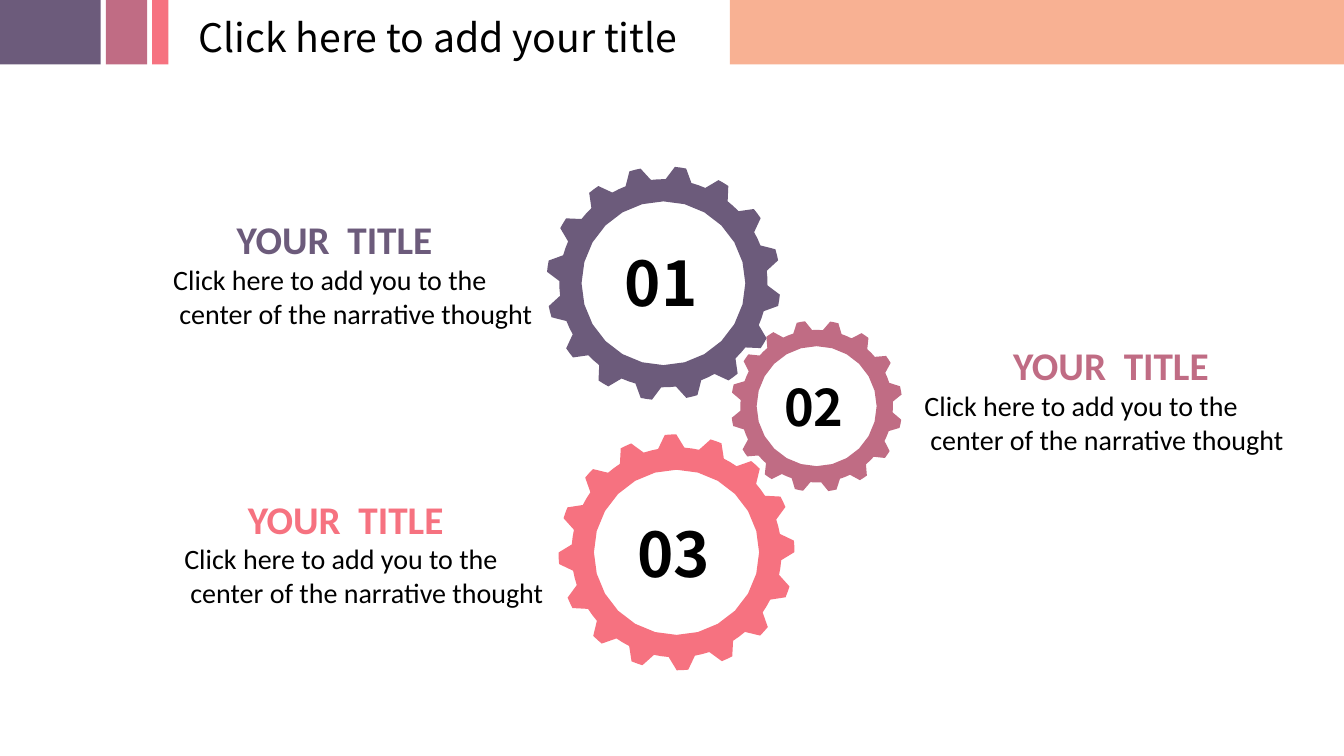
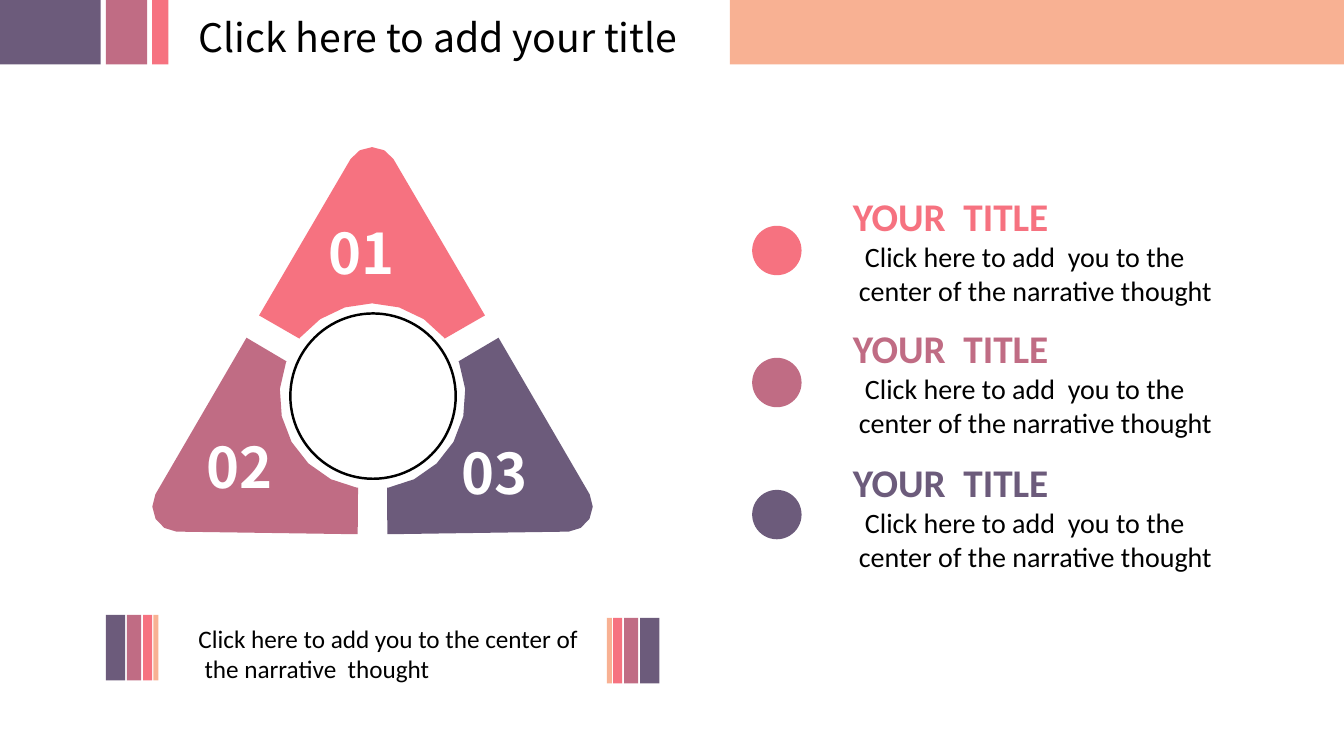
from math import atan2, cos, degrees, hypot, radians, sin

from pptx import Presentation
from pptx.dml.color import RGBColor
from pptx.enum.shapes import MSO_SHAPE as Shape
from pptx.util import Inches, Pt

PURPLE = RGBColor(0x6C, 0x5B, 0x7B)
MAUVE = RGBColor(0xC0, 0x6C, 0x84)
CORAL = RGBColor(0xF6, 0x72, 0x80)
PEACH = RGBColor(0xF8, 0xB1, 0x93)
BLACK = RGBColor(0, 0, 0)
WHITE = RGBColor(0xFF, 0xFF, 0xFF)
HEADING_FONT, BODY_FONT = "Noto Sans CJK SC", "Calibri"


def polar(center_x, center_y, radius, angle):
    return (center_x + radius * cos(radians(angle)),
            center_y + radius * sin(radians(angle)))


def write(slide, left, top, width, height, lines):
    """Each line is (text, size, font name, colour, bold, indent)."""
    frame = slide.shapes.add_textbox(
        Inches(left), Inches(top), Inches(width), Inches(height)).text_frame
    frame.word_wrap = True
    for number, (text, size, name, colour, bold, indent) in enumerate(lines):
        paragraph = frame.add_paragraph() if number else frame.paragraphs[0]
        if indent:
            paragraph._p.get_or_add_pPr().set("marL", str(Inches(indent)))
        run = paragraph.add_run()
        run.text = text
        for key, value in {"size": Pt(size), "name": name, "bold": bold}.items():
            setattr(run.font, key, value)
        run.font.color.rgb = colour


deck = Presentation()
deck.slide_width, deck.slide_height = Inches(13.33), Inches(7.5)
gear_slide, triangle_slide = [
    deck.slides.add_slide(deck.slide_layouts[6]) for _ in range(2)]
painted = []  # (shape, fill colour), filled in one pass at the end

# Header band and title on both slides
header_bars = [(7.24, 6.09, PEACH), (0, 1, PURPLE), (1.05, 0.41, MAUVE),
               (1.51, 0.16, CORAL)]
for slide in (gear_slide, triangle_slide):
    for left, width, colour in header_bars:
        bar = slide.shapes.add_shape(
            Shape.RECTANGLE, Inches(left), 0, Inches(width), Inches(0.64))
        painted.append((bar, colour))
    write(slide, 1.87, 0.08, 5.18, 1.04,
          [("Click here to add your title", 28, HEADING_FONT, BLACK, False, 0)])

# Gears: center, outer radius, angle of the first tooth
TEETH = 16
PITCH = 360 / TEETH
# Angle from the tooth's middle and share of the outer radius
tooth_profile = [(-2.8, 1), (0, 1), (2.8, 1), (7.2, 0.89), (PITCH / 2, 0.89),
                 (PITCH - 7.2, 0.89)]
gears = [(8.1, 4.03, 0.85, -10.6, MAUVE), (6.71, 5.48, 1.17, -2.9, CORAL),
         (6.58, 2.81, 1.16, -14.1, PURPLE)]
for center_x, center_y, radius, first_tooth, colour in gears:
    rim = [polar(center_x, center_y, radius * share,
                 first_tooth + tooth * PITCH + offset)
           for tooth in range(TEETH) for offset, share in tooth_profile]
    hole = [polar(center_x, center_y, radius * 0.7, -angle)
            for angle in range(0, 360, 15)]
    rim, hole = [[(Inches(x), Inches(y)) for x, y in ring] for ring in (rim, hole)]
    outline = gear_slide.shapes.build_freeform(*rim[0])
    outline.add_line_segments(rim[1:], close=True)
    outline.move_to(*hole[0])
    outline.add_line_segments(hole[1:], close=True)
    painted.append((outline.convert_to_shape(), colour))

# Gear numbers
gear_numbers = [("01", 6.1, 2.38, 0.96, 0.84, 44),
                ("02", 7.68, 3.68, 0.83, 0.71, 36),
                ("03", 6.22, 5.07, 0.96, 0.84, 44)]
for number, left, top, width, height, size in gear_numbers:
    write(gear_slide, left, top, width, height,
          [(number, size, HEADING_FONT, BLACK, True, 0)])

# Gear descriptions
gear_texts = [(1.62, 2.09, PURPLE, 0.63), (1.73, 4.86, CORAL, 0.63),
              (9.07, 3.34, MAUVE, 0.88)]
for left, top, colour, title_indent in gear_texts:
    write(gear_slide, left, top, 3.8, 1.24, [
        ("YOUR  TITLE", 28, BODY_FONT, colour, True, title_indent),
        ("Click here to add you to the", 20, BODY_FONT, BLACK, False, 0),
        ("center of the narrative thought", 20, BODY_FONT, BLACK, False, 0.06)])

# Triangle: one upright wedge around its own middle, turned three ways
wedge = [polar(0, -0.7, 0.25, angle) for angle in range(-148, -31, 29)]
wedge += [(1.12, 0.72), (0.72, 0.95)]
wedge += [polar(0, 1.52, 0.92, angle) for angle in range(-39, -142, -17)]
wedge += [(-0.72, 0.95), (-1.12, 0.72)]
wedges = [(2.37, 4.68, 240.5, MAUVE), (5.02, 4.68, 119.5, PURPLE),
          (3.69, 2.41, 0, CORAL)]
for center_x, center_y, turn, colour in wedges:
    turned = [polar(center_x, center_y, hypot(x, y), degrees(atan2(y, x)) + turn)
              for x, y in wedge]
    corners = [(Inches(x), Inches(y)) for x, y in turned]
    outline = triangle_slide.shapes.build_freeform(*corners[0])
    outline.add_line_segments(corners[1:], close=True)
    painted.append((outline.convert_to_shape(), colour))

# Ring in the middle of the triangle
hub = triangle_slide.shapes.add_shape(
    Shape.OVAL, Inches(2.88), Inches(3.11), Inches(1.64), Inches(1.64))
hub.shadow.inherit = False
hub.fill.background()
hub.line.color.rgb = BLACK
hub.line.width = Pt(1.75)

# Wedge numbers
for number, left, top in [("01", 3.16, 2.12), ("02", 1.95, 4.24), ("03", 4.48, 4.3)]:
    write(triangle_slide, left, top, 1, 0.87,
          [(number, 40, HEADING_FONT, WHITE, True, 0)])

# Caption between two mirrored sets of stripes
stripes = [(1.05, 0.19, PURPLE), (1.52, 0.05, PEACH), (1.42, 0.09, CORAL),
           (1.26, 0.14, MAUVE)]
for left, width, colour in stripes:
    for stripe_left, top in [(left, 6.1), (7.59 - left - width, 6.13)]:
        stripe = triangle_slide.shapes.add_shape(
            Shape.RECTANGLE, Inches(stripe_left), Inches(top),
            Inches(width), Inches(0.65))
        painted.append((stripe, colour))
write(triangle_slide, 1.87, 6.13, 4.02, 0.71, [
    ("Click here to add you to the center of", 18, BODY_FONT, BLACK, False, 0),
    ("the narrative  thought", 18, BODY_FONT, BLACK, False, 0.06)])

# Legend
legend = [(2.24, 1.86, CORAL), (3.55, 3.17, MAUVE), (4.86, 4.5, PURPLE)]
for dot_top, text_top, colour in legend:
    dot = triangle_slide.shapes.add_shape(
        Shape.OVAL, Inches(7.46), Inches(dot_top), Inches(0.49), Inches(0.49))
    painted.append((dot, colour))
    write(triangle_slide, 8.36, text_top, 3.8, 1.24, [
        ("YOUR  TITLE", 28, BODY_FONT, colour, True, 0),
        ("Click here to add  you to the", 20, BODY_FONT, BLACK, False, 0.12),
        ("center of the narrative thought", 20, BODY_FONT, BLACK, False, 0.06)])

# Flat fills without outline or shadow
for shape, colour in painted:
    shape.shadow.inherit = False
    shape.fill.solid()
    shape.fill.fore_color.rgb = colour
    shape.line.fill.background()

deck.save("out.pptx")
